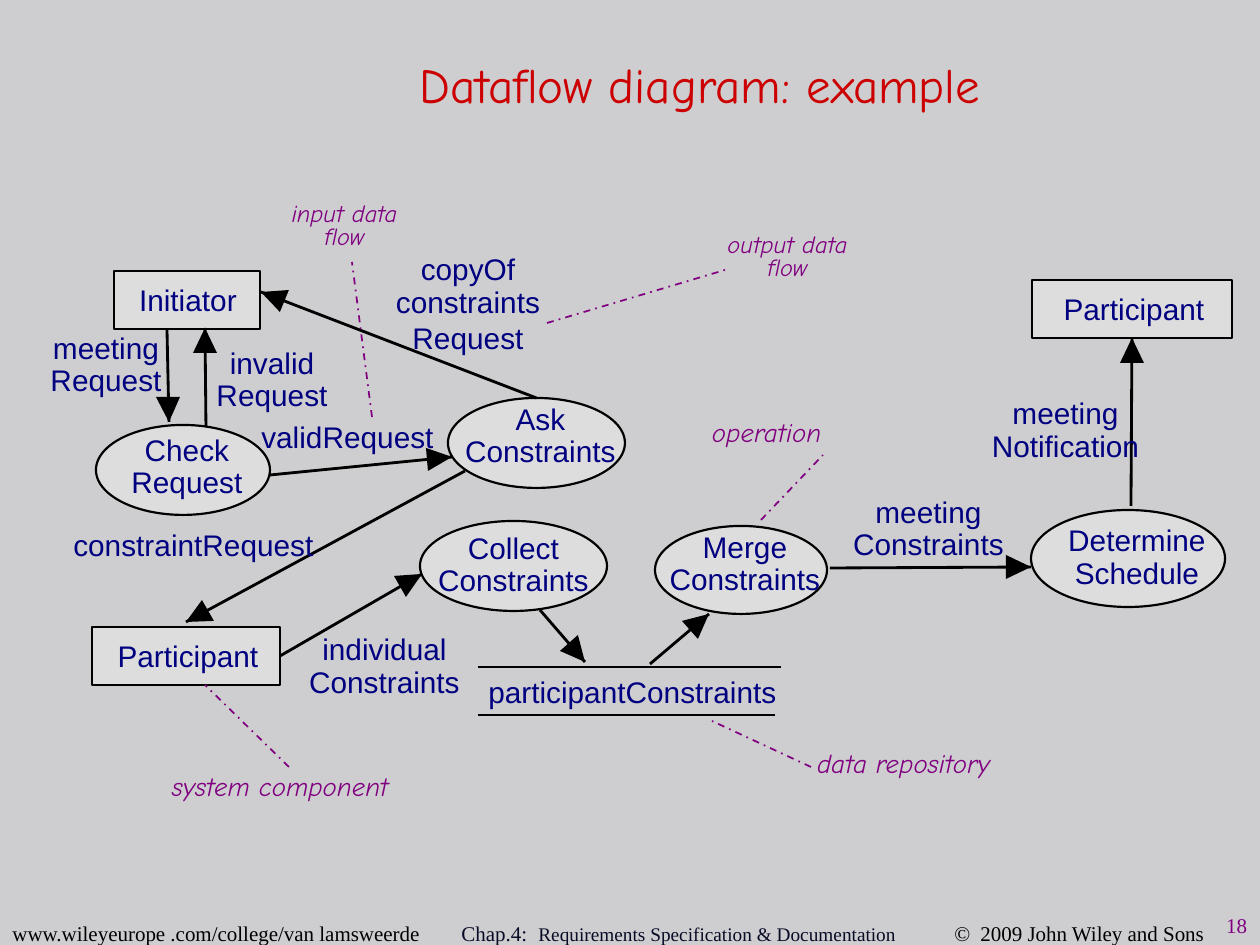
from dataclasses import dataclass
from math import hypot

from lxml import etree
from pptx import Presentation
from pptx.dml.color import RGBColor
from pptx.enum.dml import MSO_LINE
from pptx.enum.shapes import MSO_CONNECTOR, MSO_SHAPE
from pptx.enum.text import MSO_ANCHOR, PP_ALIGN
from pptx.oxml.ns import qn
from pptx.util import Emu, Pt

RECT, OVAL = MSO_SHAPE.RECTANGLE, MSO_SHAPE.OVAL
STRAIGHT, DASH_DOT = MSO_CONNECTOR.STRAIGHT, MSO_LINE.DASH_DOT
LEFT, CENTER, RIGHT = PP_ALIGN.LEFT, PP_ALIGN.CENTER, PP_ALIGN.RIGHT
TOP, MIDDLE = MSO_ANCHOR.TOP, MSO_ANCHOR.MIDDLE
EMU_PER_PX = 914400 / 126
HEAD_LENGTH, HEAD_HALF_WIDTH = 25, 12
SANS, HAND, SERIF = "Arial", "Comic Neue", "Times New Roman"
COLORS = {
    "background": "CECED0", "title": "CC0000", "node": "DDDDDD", "line": "000000",
    "label": "000080", "note": "800080", "footer": "000000", "chapter": "070B26",
}


@dataclass
class Node:
    text: str
    x: int
    y: int
    w: int
    h: int
    kind: int = OVAL
    dx: int = 0
    dy: int = 0


@dataclass
class Flow:
    x1: int
    y1: int
    x2: int
    y2: int
    source: tuple[str, int] | None = None
    target: tuple[str, int] | None = None


@dataclass
class Text:
    text: str
    x: int
    y: int
    w: int
    h: int
    size: float = 17
    font: str = SANS
    color: str = "label"
    align: int = CENTER
    anchor: int = TOP
    inset: tuple[int, int] = (0, 0)
    italic: bool = False
    wrap: bool = False
    spacing: tuple[float, ...] = (1.0, 0.92)
    gap: float = 0


NODES = {
    "initiator": Node("Initiator", 114, 271, 146, 58, RECT, dx=1),
    "responder": Node("Participant", 1032, 280, 200, 58, RECT, dx=2),
    "participant": Node("Participant", 92, 627, 188, 58, RECT, dx=2),
    "check": Node("Check\nRequest", 96, 425, 174, 90, dx=4, dy=4),
    "ask": Node("Ask\nConstraints", 448, 398, 177, 90, dx=4, dy=8),
    "collect": Node("Collect\nConstraints", 420, 521, 187, 90, dy=2),
    "merge": Node("Merge\nConstraints", 655, 526, 172, 88, dx=4, dy=7),
    "determine": Node("Determine\nSchedule", 1031, 510, 194, 97, dx=9, dy=2),
}
FLOWS = [
    Flow(270, 475, 452, 457),
    Flow(540, 610, 585, 662),
    Flow(167, 329, 169, 422),
    Flow(1131, 506, 1132, 338, target=("responder", 2)),
    Flow(465, 471, 186, 622),
    Flow(280, 656, 422, 574, source=("participant", 3)),
    Flow(830, 568, 1031, 567),
    Flow(650, 664, 709, 614),
    Flow(206, 426, 205, 328),
    Flow(536, 398, 261, 292, source=("ask", 0)),
]
STORE_LINES = [(478, 667, 781, 667), (478, 715, 775, 715)]
LEADERS = [
    (761, 520, 823, 455), (811, 767, 712, 721), (289, 767, 205, 685),
    (372, 417, 352, 262), (547, 323, 725, 270),
]
LABELS = [
    Text("copyOf\nconstraints\nRequest", 378, 251, 180, 105, spacing=(1.0, 0.92, 1.0)),
    Text("constraintRequest", 63, 527, 261, 35),
    Text("meeting\nRequest", 41, 330, 130, 69),
    Text("meeting\nConstraints", 843, 494, 171, 69),
    Text("individual\nConstraints", 299, 631, 171, 69),
    Text("participantConstraints", 478, 674, 309, 35),
    Text("meeting\nNotification", 975, 395, 181, 69),
    Text("invalid\nRequest", 207, 345, 130, 68, spacing=(1.0, 0.9)),
    Text("validRequest", 246, 419, 203, 35),
]


def note(text: str, x: int, y: int, w: int) -> Text:
    """Describe a handwritten annotation of one or two lines."""
    paired = "\n" in text
    return Text(text, x, y, w, 67 if paired else 44, 13.9 if paired else 15.3, HAND, "note",
                CENTER if paired else LEFT, MIDDLE, (13, 6), True, True,
                (0.8, 0.6) if paired else (0.9,), 2.2)


NOTES = [
    note("operation", 699, 412, 261),
    note("data repository", 804, 743, 261),
    note("system component", 159, 766, 306),
    note("input data\nflow", 245, 193, 199),
    note("output data\nflow", 676, 224, 223),
]
TITLE = Text("Dataflow diagram: example", 166, 32, 1068, 104, 28, HAND, "title",
             anchor=MIDDLE, inset=(13, 6), wrap=True)
PAGE = Text("18", 1130, 902, 130, 43, 12, SERIF, "note", RIGHT, inset=(13, 6), wrap=True,
            spacing=(1.2,))
FOOTER_TABS = [449, 526, 942, 968]
FOOTER_RUNS = [
    ("www.wileyeurope .com/college/van lamsweerde\t", 12, "footer"),
    ("Chap.4:\t", 12, "chapter"),
    ("Requirements Specification & Documentation\t", 11, "chapter"),
    ("©\t2009 John Wiley and Sons", 12, "footer"),
]


def px(value: float) -> Emu:
    """Turn px into EMU."""
    return Emu(round(value * EMU_PER_PX))


def rgb(name: str) -> RGBColor:
    """Look up a named colour."""
    return RGBColor.from_string(COLORS[name])


def write(tf, t: Text) -> None:
    """Fill a text frame with one paragraph per line."""
    tf.word_wrap, tf.vertical_anchor = t.wrap, t.anchor
    tf.margin_left = tf.margin_right = px(t.inset[0])
    tf.margin_top = tf.margin_bottom = px(t.inset[1])
    for i, line in enumerate(t.text.split("\n")):
        p = tf.add_paragraph() if i else tf.paragraphs[0]
        p.text, p.alignment = line, t.align
        p.line_spacing = t.spacing[min(i, len(t.spacing) - 1)]
        p.space_before = Pt(t.gap if i else 0)
        p.font.name, p.font.size, p.font.italic = t.font, Pt(t.size), t.italic
        p.font.color.rgb = rgb(t.color)


def add_text(s, t: Text) -> None:
    """Place a text box."""
    write(s.shapes.add_textbox(px(t.x), px(t.y), px(t.w), px(t.h)).text_frame, t)


def add_node(s, n: Node):
    """Draw a component or operation, its text shifted by way of the insets."""
    sp = s.shapes.add_shape(n.kind, px(n.x), px(n.y), px(n.w), px(n.h))
    sp.shadow.inherit = False
    sp.fill.solid()
    sp.fill.fore_color.rgb = rgb("node")
    sp.line.color.rgb, sp.line.width = rgb("line"), Pt(1.25)
    write(sp.text_frame, Text(n.text, n.x, n.y, n.w, n.h, anchor=MIDDLE))
    sp.text_frame.margin_left, sp.text_frame.margin_bottom = px(2 * n.dx), px(2 * n.dy)
    return sp


def add_line(s, ends: tuple[int, int, int, int], color: str = "line", width: float = 1.62):
    """Draw a straight line without shadow."""
    line = s.shapes.add_connector(STRAIGHT, *map(px, ends))
    line.line.color.rgb, line.line.width = rgb(color), Pt(width)
    etree.SubElement(line._element.spPr, qn("a:effectLst"))
    return line


def add_flow(s, f: Flow, shapes: dict) -> None:
    """Draw a data flow with a large solid head."""
    line = add_line(s, (f.x1, f.y1, f.x2, f.y2))
    if f.source:
        line.begin_connect(shapes[f.source[0]], f.source[1])
    if f.target:
        line.end_connect(shapes[f.target[0]], f.target[1])
    length = hypot(f.x2 - f.x1, f.y2 - f.y1)
    ux, uy = (f.x2 - f.x1) / length, (f.y2 - f.y1) / length
    bx, by = f.x2 - HEAD_LENGTH * ux, f.y2 - HEAD_LENGTH * uy
    corners = [(bx - k * uy, by + k * ux) for k in (HEAD_HALF_WIDTH, -HEAD_HALF_WIDTH)]
    builder = s.shapes.build_freeform(f.x2, f.y2, EMU_PER_PX)
    builder.add_line_segments(corners, close=True)
    head = builder.convert_to_shape()
    head.shadow.inherit = False
    head.fill.solid()
    head.fill.fore_color.rgb = rgb("line")
    head.line.fill.background()


def add_footer(s) -> None:
    """Write the footer line on its tab stops."""
    tf = s.shapes.add_textbox(0, px(914), px(1256), px(38)).text_frame
    tf.word_wrap = True
    p = tf.paragraphs[0]
    tabs = etree.SubElement(p._p.get_or_add_pPr(), qn("a:tabLst"))
    for stop in FOOTER_TABS:
        etree.SubElement(tabs, qn("a:tab"), pos=str(px(stop)), algn="l")
    p.font.name = SERIF
    for text, size, color in FOOTER_RUNS:
        r = p.add_run()
        r.text, r.font.size, r.font.name = text, Pt(size), SERIF
        r.font.color.rgb = rgb(color)


def main() -> None:
    """Build the slide and save it."""
    prs = Presentation()
    prs.slide_width, prs.slide_height = px(1260), px(945)
    s = prs.slides.add_slide(prs.slide_layouts[6])
    s.background.fill.solid()
    s.background.fill.fore_color.rgb = rgb("background")
    add_text(s, PAGE)
    add_footer(s)
    add_text(s, TITLE)
    shapes = {name: add_node(s, n) for name, n in NODES.items()}
    for f in FLOWS:
        add_flow(s, f, shapes)
    for ends in STORE_LINES:
        add_line(s, ends)
    for ends in LEADERS:
        add_line(s, ends, "note", 1).line.dash_style = DASH_DOT
    for t in LABELS + NOTES:
        add_text(s, t)
    prs.save("out.pptx")


if __name__ == "__main__":
    main()
